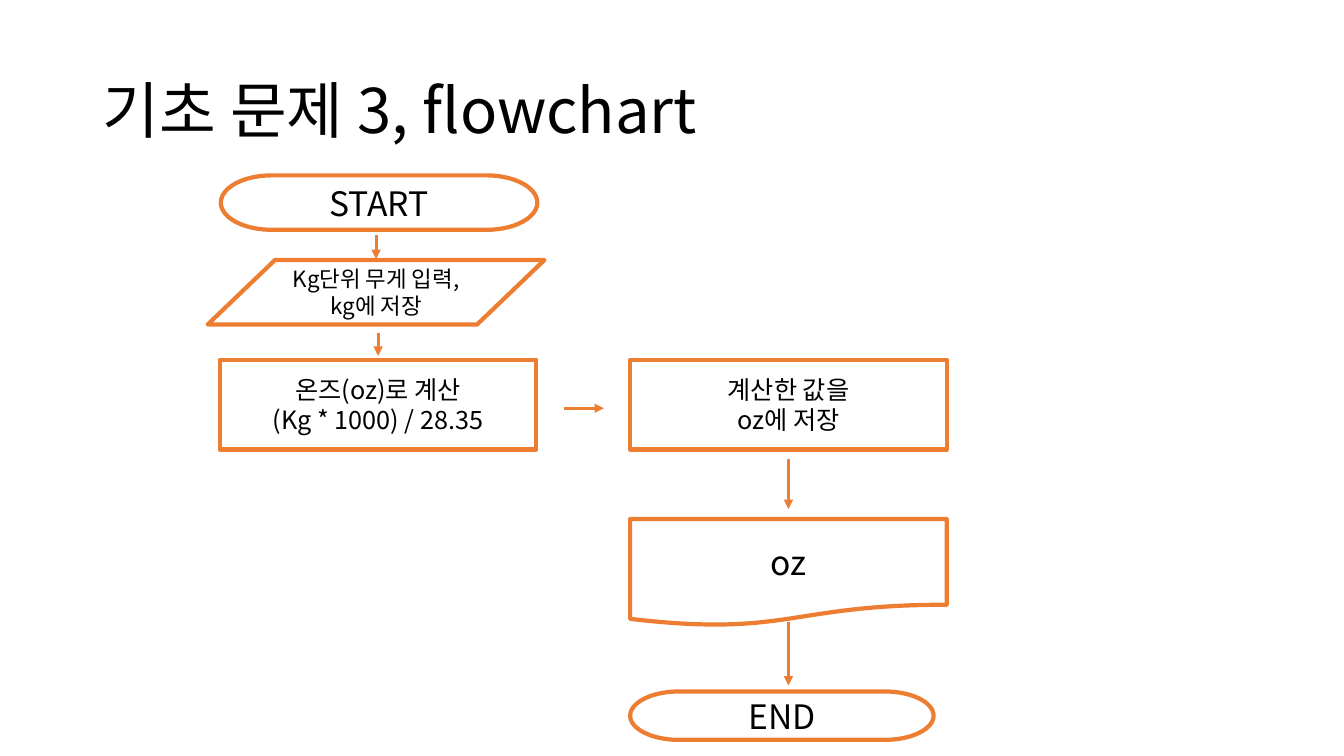
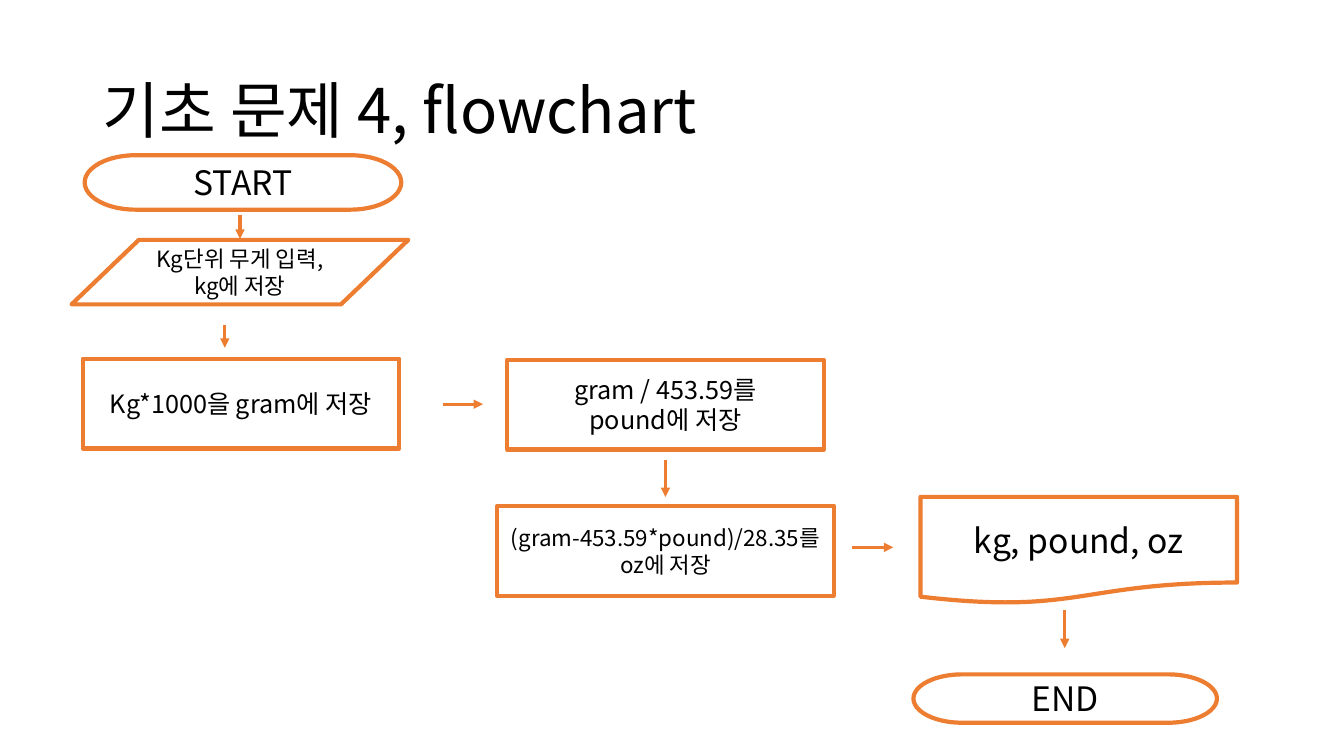
import dataclasses

import lxml.etree
import pptx
import pptx.dml.color
import pptx.enum.shapes
import pptx.enum.text
import pptx.oxml
import pptx.oxml.ns
import pptx.util

Inches = pptx.util.Inches
Shapes = pptx.enum.shapes.MSO_SHAPE
Align = pptx.enum.text.PP_ALIGN
TERMINATOR = Shapes.FLOWCHART_TERMINATOR
INPUT = Shapes.FLOWCHART_DATA
DOCUMENT = Shapes.FLOWCHART_DOCUMENT
PROCESS = Shapes.RECTANGLE


@dataclasses.dataclass(frozen=True)
class Theme:
    font: str = "Noto Sans CJK KR"
    text: str = "000000"
    fill: str = "FFFFFF"
    accent: str = "ED7D31"
    title_size: float = 44
    label_size: float = 24
    process_size: float = 18
    small_size: float = 16
    outline: float = 3
    arrow: float = 2.25


THEME = Theme()
SIZES = {
    TERMINATOR: THEME.label_size,
    DOCUMENT: THEME.label_size,
    PROCESS: THEME.process_size,
    INPUT: THEME.small_size,
}


def color(value):
    return pptx.dml.color.RGBColor.from_string(value)


def write_text(shape, text, size, align=Align.CENTER, line_spacing=None):
    frame = shape.text_frame
    frame.word_wrap = True
    frame.vertical_anchor = pptx.enum.text.MSO_ANCHOR.MIDDLE
    frame.text = text
    for paragraph in frame.paragraphs:
        paragraph.alignment = align
        paragraph.line_spacing = line_spacing
        for run in paragraph.runs:
            run.font.size = pptx.util.Pt(size)
            run.font.color.rgb = color(THEME.text)
            run.font.name = THEME.font
            properties = run.font._element
            east_asian = lxml.etree.SubElement(properties, pptx.oxml.ns.qn("a:ea"))
            east_asian.set("typeface", THEME.font)


def add_title(slide, text):
    title = slide.shapes.title
    title.left, title.top = Inches(0.92), Inches(0.4)
    title.width, title.height = Inches(11.5), Inches(1.45)
    write_text(title, text, THEME.title_size, align=Align.LEFT, line_spacing=0.9)


def add_step(slide, origin, kind, box, text, size=None):
    left, top, width, height = box
    shape = slide.shapes.add_shape(
        kind, Inches(origin[0] + left), Inches(origin[1] + top),
        Inches(width), Inches(height))
    shape.shadow.inherit = False
    shape.fill.solid()
    shape.fill.fore_color.rgb = color(THEME.fill)
    shape.line.color.rgb = color(THEME.accent)
    shape.line.width = pptx.util.Pt(THEME.outline)
    write_text(shape, text, size or SIZES[kind])


def add_arrow(slide, origin, start, end):
    points = [Inches(origin[axis] + point[axis])
              for point in (start, end) for axis in (0, 1)]
    connector = slide.shapes.add_connector(
        pptx.enum.shapes.MSO_CONNECTOR.STRAIGHT, *points)
    connector.line.color.rgb = color(THEME.accent)
    connector.line.width = pptx.util.Pt(THEME.arrow)
    line = connector.line._get_or_add_ln()
    head = lxml.etree.SubElement(line, pptx.oxml.ns.qn("a:tailEnd"))
    head.set("type", "triangle")
    lxml.etree.SubElement(connector._element.spPr, pptx.oxml.ns.qn("a:effectLst"))


def add_opening(slide, origin):
    add_step(slide, origin, TERMINATOR, (0.13, 0, 3.14, 0.54), "START")
    add_arrow(slide, origin, (1.67, 0.59), (1.67, 0.83))
    add_step(slide, origin, INPUT, (0, 0.84, 3.34, 0.64), "Kg단위 무게 입력, kg에 저장")


def add_flowchart(slide, origin, steps, arrows):
    add_opening(slide, origin)
    for step in steps:
        add_step(slide, origin, *step)
    for start, end in arrows:
        add_arrow(slide, origin, start, end)


def add_flowchart_slide(presentation, title, origin, steps, arrows):
    slide = presentation.slides.add_slide(presentation.slide_layouts[5])
    add_title(slide, title)
    add_flowchart(slide, origin, steps, arrows)


OUNCE_STEPS = [
    (PROCESS, (0.12, 1.83, 3.14, 0.89), "온즈(oz)로 계산\n(Kg * 1000) / 28.35"),
    (PROCESS, (4.19, 1.83, 3.14, 0.89), "계산한 값을\noz에 저장"),
    (DOCUMENT, (4.19, 3.41, 3.14, 1.06), "oz"),
    (TERMINATOR, (4.19, 5.12, 3.01, 0.48), "END"),
]
OUNCE_ARROWS = [
    ((1.69, 1.56), (1.69, 1.79)),
    ((3.53, 2.31), (3.93, 2.31)),
    ((5.76, 2.81), (5.76, 3.31)),
    ((5.76, 4.43), (5.76, 5.06)),
]
POUND_STEPS = [
    (PROCESS, (0.11, 2.02, 3.14, 0.89), "Kg*1000을 gram에 저장"),
    (PROCESS, (4.32, 2.03, 3.14, 0.89), "gram / 453.59를\npound에 저장"),
    (PROCESS, (4.22, 3.48, 3.34, 0.89),
     "(gram-453.59*pound)/28.35를\noz에 저장", THEME.small_size),
    (DOCUMENT, (8.42, 3.39, 3.14, 1.06), "kg, pound, oz"),
    (TERMINATOR, (8.35, 5.15, 3.01, 0.48), "END"),
]
POUND_ARROWS = [
    ((1.52, 1.68), (1.52, 1.91)),
    ((3.68, 2.47), (4.08, 2.47)),
    ((5.89, 3.02), (5.89, 3.39)),
    ((7.74, 3.89), (8.15, 3.89)),
    ((9.85, 4.51), (9.85, 4.89)),
]


def main():
    presentation = pptx.Presentation()
    presentation.slide_width = Inches(13.33)
    presentation.slide_height = Inches(7.5)
    add_flowchart_slide(presentation, "기초 문제 3, flowchart", (2.06, 1.74),
                        OUNCE_STEPS, OUNCE_ARROWS)
    add_flowchart_slide(presentation, "기초 문제 4, flowchart", (0.71, 1.54),
                        POUND_STEPS, POUND_ARROWS)
    presentation.save("out.pptx")


if __name__ == "__main__":
    main()
